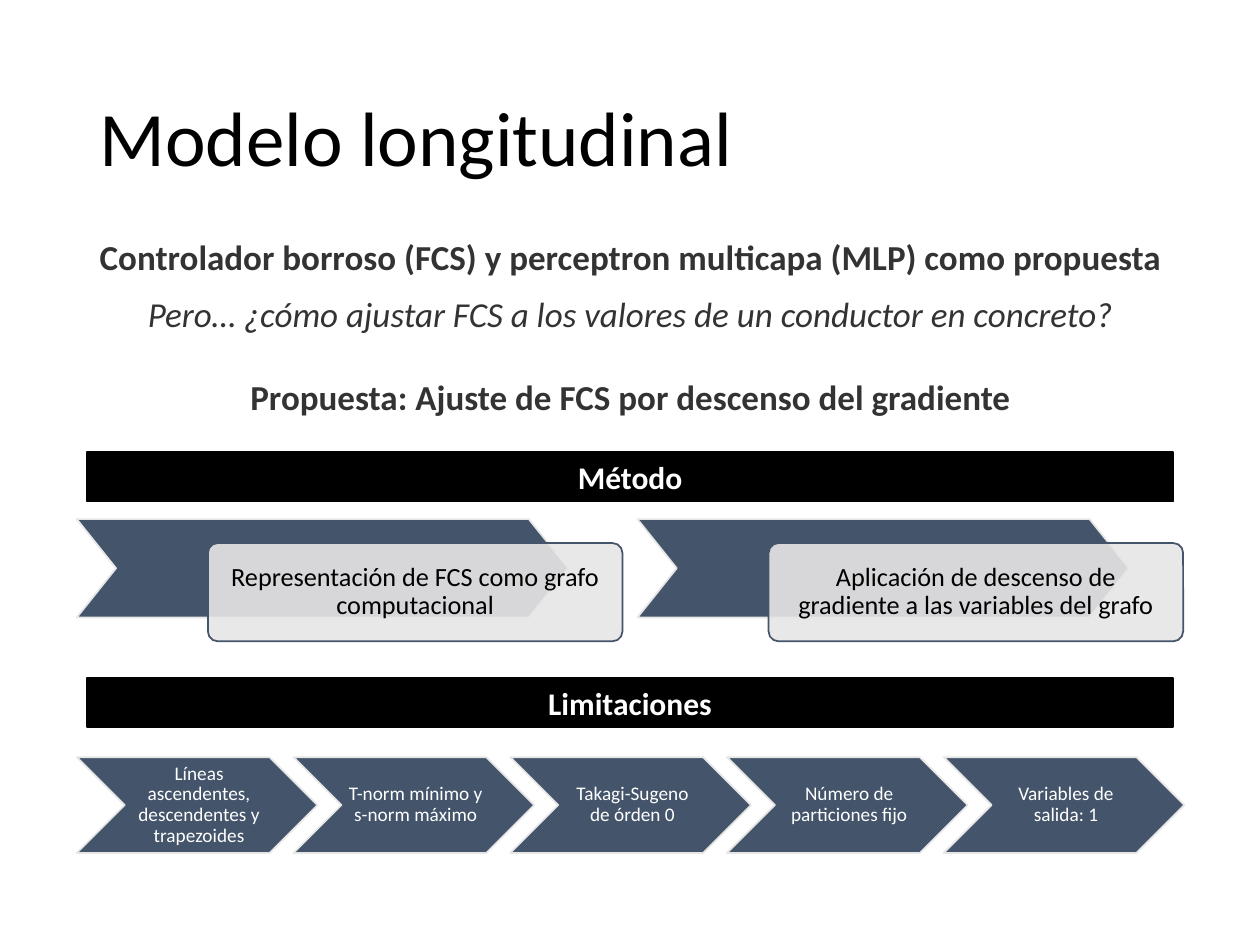
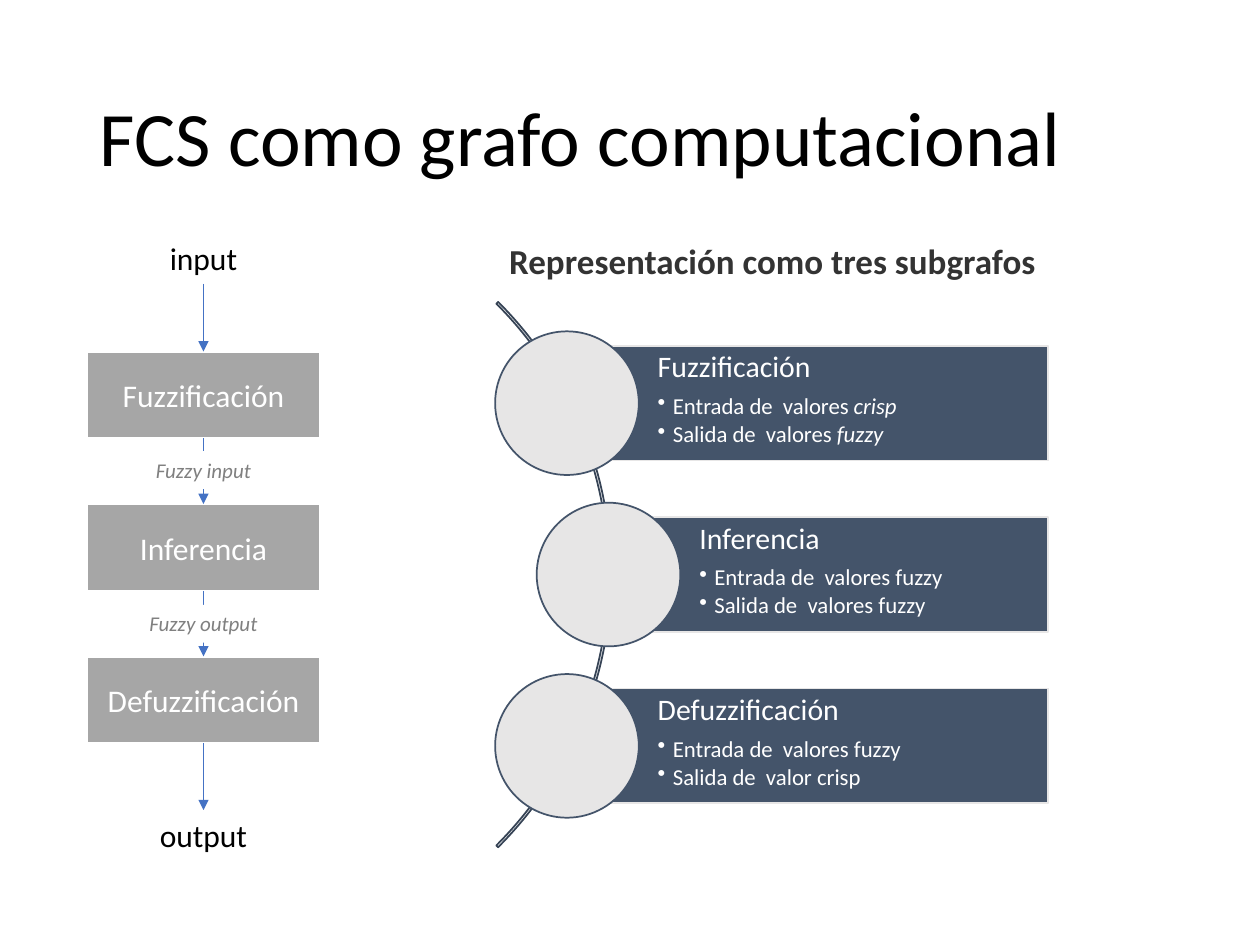
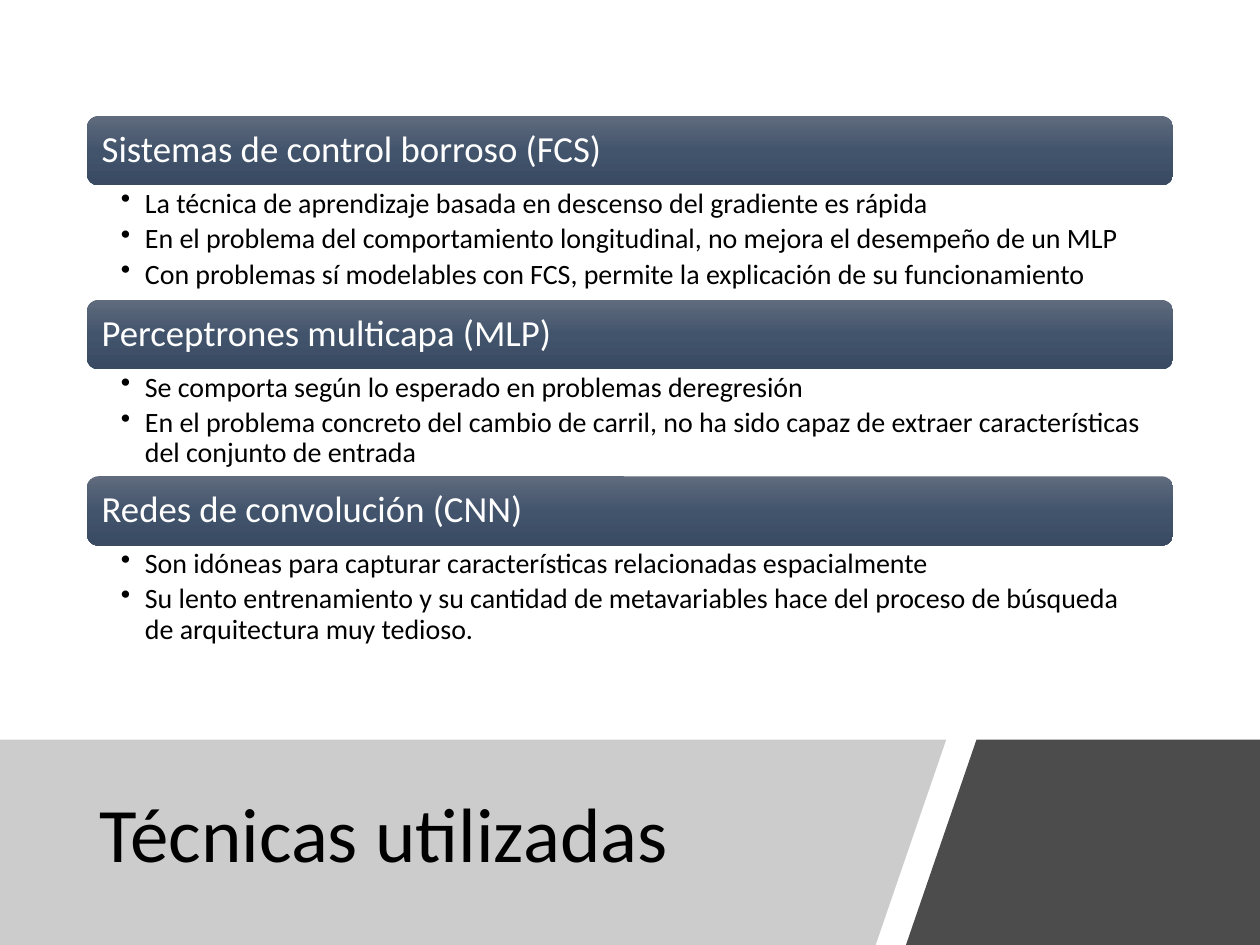
import copy

import pptx
import pptx.dml.color
import pptx.enum.shapes
import pptx.enum.text
import pptx.oxml
import pptx.oxml.ns
import pptx.util

Inches = pptx.util.Inches
Pt = pptx.util.Pt
RGB = pptx.dml.color.RGBColor.from_string
KIND = pptx.enum.shapes.MSO_SHAPE
ALIGN = pptx.enum.text.PP_ALIGN
ANCHOR = pptx.enum.text.MSO_ANCHOR
qn = pptx.oxml.ns.qn

COLORS = {
    "black": "000000", "white": "FFFFFF", "ink": "333333", "slate": "44546A",
    "slate_dark": "364355", "pale": "E7E6E6", "step": "A6A6A6",
    "gray": "808080", "arrow": "4472C4",
}
BAR_GRADIENT = ["606B7D", "42546C", "394A62"]
FONT = "Calibri"
MARGIN = 0.69
CONTENT = 10 - 2 * MARGIN


def add_box(slide, kind, left, top, width, height, fill=None, line=None, line_width=1,
            opacity=100, insets=(0.1, 0.05, 0.1, 0.05), anchor=ANCHOR.MIDDLE):
    """Add a preset shape, or a text box if kind is None; lengths in inches."""
    place = [Inches(length) for length in (left, top, width, height)]
    if kind is None:
        box = slide.shapes.add_textbox(*place)
    else:
        box = slide.shapes.add_shape(kind, *place)
        box.shadow.inherit = False
    if fill:
        box.fill.solid()
        box.fill.fore_color.rgb = RGB(COLORS[fill])
        if opacity < 100:
            color = box._element.spPr.find(qn("a:solidFill"))[0]
            color.append(color.makeelement(qn("a:alpha"), {"val": str(opacity * 1000)}))
    else:
        box.fill.background()
    if line:
        box.line.color.rgb = RGB(COLORS[line])
        box.line.width = Pt(line_width)
    else:
        box.line.fill.background()
    frame = box.text_frame
    frame.word_wrap = True
    frame.vertical_anchor = anchor
    frame.margin_left, frame.margin_top, frame.margin_right, frame.margin_bottom = map(Inches, insets)
    return box


def write(box, lines, size, color, bold=False, italic=False, align=ALIGN.CENTER,
          spacing=1.0, after=0, indent=0):
    """Append paragraphs; *stars* mark italics and an indent gives bullets."""
    frame = box.text_frame
    for text in lines:
        paragraph = frame.add_paragraph() if frame.text else frame.paragraphs[0]
        paragraph.alignment = align
        paragraph.line_spacing = spacing
        paragraph.space_after = Pt(after)
        if indent:
            properties = paragraph._p.get_or_add_pPr()
            properties.set("marL", str(Inches(indent)))
            properties.set("indent", str(-Inches(indent)))
            properties.append(properties.makeelement(qn("a:buChar"), {"char": "•"}))
        for number, part in enumerate(text.split("*")):
            if not part:
                continue
            run = paragraph.add_run()
            run.text = part
            run.font.name = FONT
            run.font.size = Pt(size)
            run.font.bold = bold
            run.font.italic = italic or number % 2 == 1
            run.font.color.rgb = RGB(COLORS[color])


prs = pptx.Presentation()
prs.slide_width, prs.slide_height = Inches(10), Inches(7.5)

# Slides and titles
slides = []
for title_text, top, width, height in [
    ("Modelo longitudinal", 0.4, CONTENT, 1.45),
    ("FCS como grafo computacional", 0.4, CONTENT, 1.45),
    ("Técnicas utilizadas", 6.05, 6.33, 1.2),
]:
    slide = prs.slides.add_slide(prs.slide_layouts[5])
    title = slide.shapes.title
    title.left, title.top = Inches(MARGIN), Inches(top)
    title.width, title.height = Inches(width), Inches(height)
    title.text_frame.auto_size = pptx.enum.text.MSO_AUTO_SIZE.NONE
    title.text_frame.vertical_anchor = ANCHOR.MIDDLE
    write(title, [title_text], 44, "black", align=ALIGN.LEFT, spacing=0.9)
    slides.append(slide)
model, graph, techniques = slides

# Slide 1: proposal, method and limitations
for statement, top, is_question in [
    ("Controlador borroso (FCS) y perceptron multicapa (MLP) como propuesta", 1.82, False),
    ("Pero… ¿cómo ajustar FCS a los valores de un conductor en concreto?", 2.27, True),
    ("Propuesta: Ajuste de FCS por descenso del gradiente", 2.93, False),
]:
    box = add_box(model, None, 0.61, top, 8.79, 0.44, anchor=ANCHOR.TOP)
    write(box, [statement], 20, "ink", bold=not is_question, italic=is_question)

for heading, top in [("Método", 3.59), ("Limitaciones", 5.38)]:
    band = add_box(model, KIND.RECTANGLE, MARGIN, top, CONTENT, 0.39, "black", "black")
    write(band, [heading], 18, "white", bold=True)

for column, method in enumerate([
    "Representación de FCS como grafo computacional",
    "Aplicación de descenso de gradiente a las variables del grafo",
]):
    left = 0.61 + column * 4.45
    chevron = add_box(model, KIND.CHEVRON, left, 4.12, 3.9, 0.78, "slate", "pale")
    chevron.adjustments[0] = 0.4
    card = add_box(model, KIND.ROUNDED_RECTANGLE, left + 1.04, 4.31, 3.29, 0.78,
                   "pale", "slate", opacity=90, insets=[0.12] * 4)
    card.adjustments[0] = 0.1
    write(card, [method], 15, "black", spacing=0.9)

for column, limit in enumerate([
    "Líneas ascendentes, descendentes y trapezoides",
    "T-norm mínimo y s-norm máximo",
    "Takagi-Sugeno de órden 0",
    "Número de particiones fijo",
    "Variables de salida: 1",
]):
    chevron = add_box(model, KIND.CHEVRON, 0.61 + column * 1.72, 6.01, 1.91, 0.76,
                      "slate", "pale", insets=(0.05, 0.02, 0.02, 0.02))
    write(chevron, [limit], 11, "white", spacing=0.9)

# Slide 2: flow on the left
STEP_WIDTH, STEP_HEIGHT, STEP_PITCH, FLOW_TOP = 1.85, 0.69, 1.21, 2.79
flow_center = MARGIN + STEP_WIDTH / 2
step_tops = [FLOW_TOP + row * STEP_PITCH for row in range(3)]
for step, top in zip(["Fuzzificación", "Inferencia", "Defuzzificación"], step_tops):
    box = add_box(graph, KIND.RECTANGLE, MARGIN, top, STEP_WIDTH, STEP_HEIGHT, "step", "white", 1.5)
    write(box, [step], 18, "white")

arrow_starts = [2.25] + [top + STEP_HEIGHT for top in step_tops]
for start, end in zip(arrow_starts, step_tops + [6.43]):
    arrow = graph.shapes.add_connector(
        pptx.enum.shapes.MSO_CONNECTOR.STRAIGHT,
        Inches(flow_center), Inches(start), Inches(flow_center), Inches(end))
    arrow.line.color.rgb = RGB(COLORS["arrow"])
    arrow.line.width = Pt(0.5)
    line = arrow.line._get_or_add_ln()
    line.append(line.makeelement(qn("a:tailEnd"), {"type": "triangle"}))
    properties = arrow._element.spPr
    properties.append(properties.makeelement(qn("a:effectLst"), {}))

for label, top, width, height, size, color, italic in [
    ("input", 1.85, 0.74, 0.4, 18, "black", False),
    ("Fuzzy input", 3.58, 0.96, 0.3, 12, "gray", True),
    ("Fuzzy output", 4.8, 1.07, 0.3, 12, "gray", True),
    ("output", 6.43, 0.9, 0.4, 18, "black", False),
]:
    box = add_box(graph, KIND.RECTANGLE, flow_center - width / 2, top, width, height,
                  "white", anchor=ANCHOR.TOP)
    box.text_frame.word_wrap = False
    write(box, [label], size, color, italic=italic)

# Slide 2: three subgraphs along an arc
heading = add_box(graph, None, 3.87, 1.85, 4.52, 0.44, anchor=ANCHOR.TOP)
write(heading, ["Representación como tres subgrafos"], 20, "ink", bold=True)

ARC, CIRCLE, BAR_HEIGHT, BAR_RIGHT = 6.12, 1.14, 0.91, 8.32
arc = add_box(graph, KIND.BLOCK_ARC, -1.27, 1.5, ARC, ARC, line="slate_dark")
arc.adjustments[0] = 189
arc.adjustments[1] = 27
arc.adjustments[2] = 0.02 / ARC

for row, (name, shift, points) in enumerate([
    ("Fuzzificación", 0, ["Entrada de  valores *crisp*", "Salida de  valores *fuzzy*"]),
    ("Inferencia", 0.33, ["Entrada de  valores fuzzy", "Salida de  valores fuzzy"]),
    ("Defuzzificación", 0, ["Entrada de  valores fuzzy", "Salida de  valor crisp"]),
]):
    center_x, center_y = 4.5 + shift, 3.2 + row * 1.36
    bar = add_box(graph, KIND.RECTANGLE, center_x, center_y - BAR_HEIGHT / 2,
                  BAR_RIGHT - center_x, BAR_HEIGHT, "slate", "pale",
                  insets=(0.72, 0.05, 0.05, 0.05), anchor=ANCHOR.TOP)
    write(bar, [name], 17, "white", align=ALIGN.LEFT, spacing=0.9, after=6)
    write(bar, points, 13, "white", align=ALIGN.LEFT, spacing=0.9, after=2, indent=0.12)
    add_box(graph, KIND.OVAL, center_x - CIRCLE / 2, center_y - CIRCLE / 2,
            CIRCLE, CIRCLE, "pale", "slate")

# Slide 3: footer panels behind the title
for corners, fill, opacity in [
    ([(0, 5.87), (7.51, 5.87), (6.95, 7.5), (0, 7.5)], "gray", 40),
    ([(7.75, 5.87), (10, 5.87), (10, 7.5), (7.19, 7.5)], "black", 70),
]:
    points = [(Inches(x), Inches(y)) for x, y in corners]
    builder = techniques.shapes.build_freeform(*points[0])
    builder.add_line_segments(points[1:], close=True)
    panel = builder.convert_to_shape()
    panel.shadow.inherit = False
    panel.fill.solid()
    panel.fill.fore_color.rgb = RGB(COLORS[fill])
    color = panel._element.spPr.find(qn("a:solidFill"))[0]
    color.append(color.makeelement(qn("a:alpha"), {"val": str(opacity * 1000)}))
    panel.line.fill.background()
    techniques.shapes.title._element.addprevious(panel._element)

# Slide 3: techniques and their conclusions
BAR = 0.55
for technique, top, conclusions in [
    ("Sistemas de control borroso (FCS)", 0.92, [
        "La técnica de aprendizaje basada en descenso del gradiente es rápida",
        "En el problema del comportamiento longitudinal, no mejora el desempeño de un MLP",
        "Con problemas sí modelables con FCS, permite la explicación de su funcionamiento",
    ]),
    ("Perceptrones multicapa (MLP)", 2.38, [
        "Se comporta según lo esperado en problemas deregresión",
        "En el problema concreto del cambio de carril, no ha sido capaz de extraer "
        "características del conjunto de entrada",
    ]),
    ("Redes de convolución (CNN)", 3.78, [
        "Son idóneas para capturar características relacionadas espacialmente",
        "Su lento entrenamiento y su cantidad de metavariables hace del proceso de "
        "búsqueda de arquitectura muy tedioso.",
    ]),
]:
    bar = add_box(techniques, KIND.ROUNDED_RECTANGLE, MARGIN, top, CONTENT, BAR, insets=[0.09] * 4)
    bar.fill.gradient()
    bar.fill.gradient_angle = 270
    stop_list = bar._element.spPr.find(qn("a:gradFill")).find(qn("a:gsLst"))
    stop_list.insert(1, copy.deepcopy(stop_list[0]))
    for number, stop in enumerate(bar.fill.gradient_stops):
        stop.position = number / 2
        stop.color.rgb = RGB(BAR_GRADIENT[number])
    write(bar, [technique], 21, "white", align=ALIGN.LEFT, spacing=0.9)
    details = add_box(techniques, None, MARGIN, top + BAR, CONTENT, 0.88,
                      insets=(0.27, 0.03, 0.16, 0.03), anchor=ANCHOR.TOP)
    write(details, conclusions, 16, "black", align=ALIGN.LEFT, spacing=0.9, after=3, indent=0.19)

prs.save("out.pptx")
